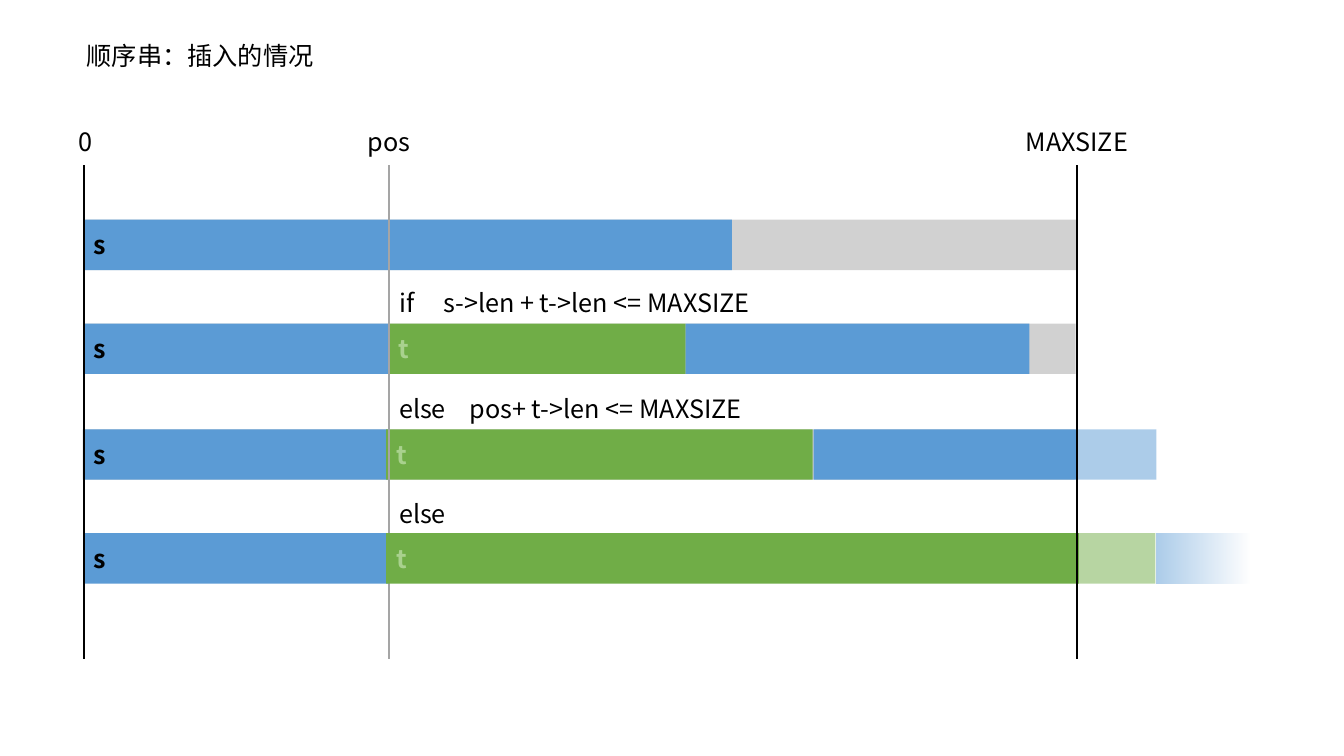
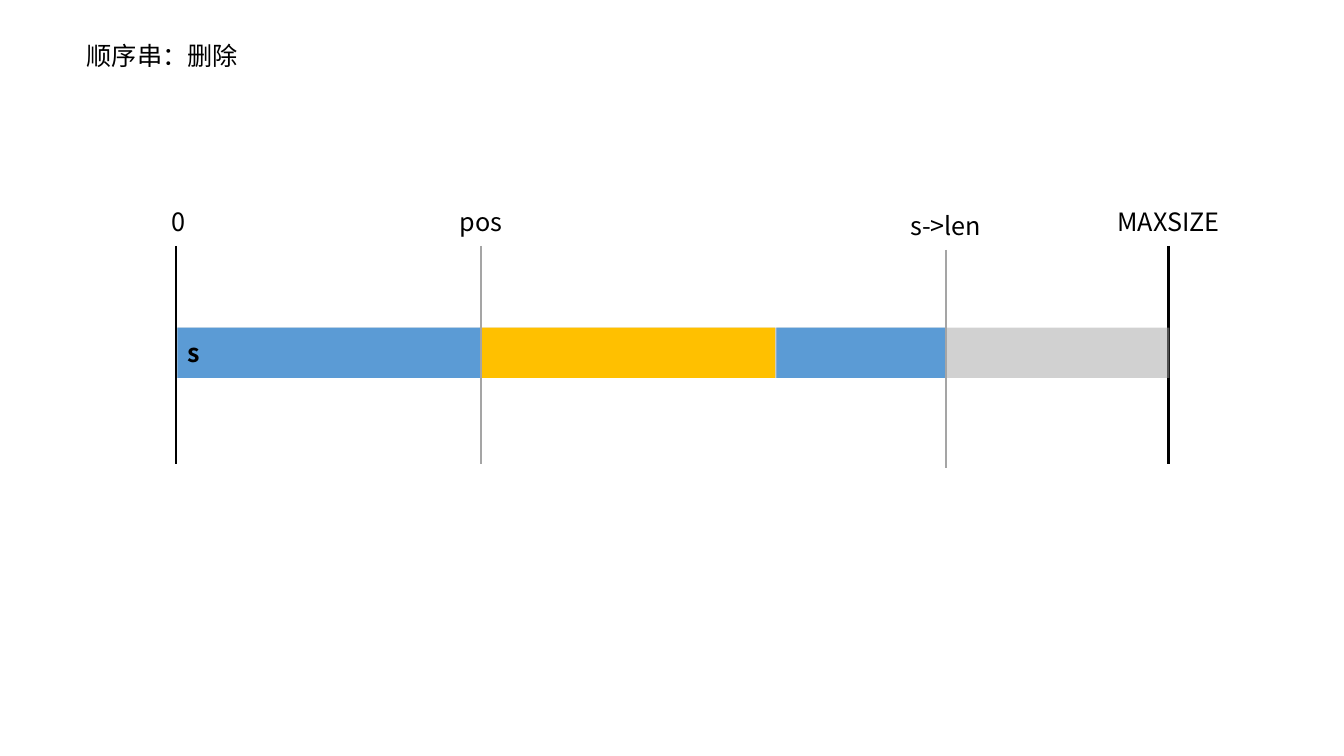
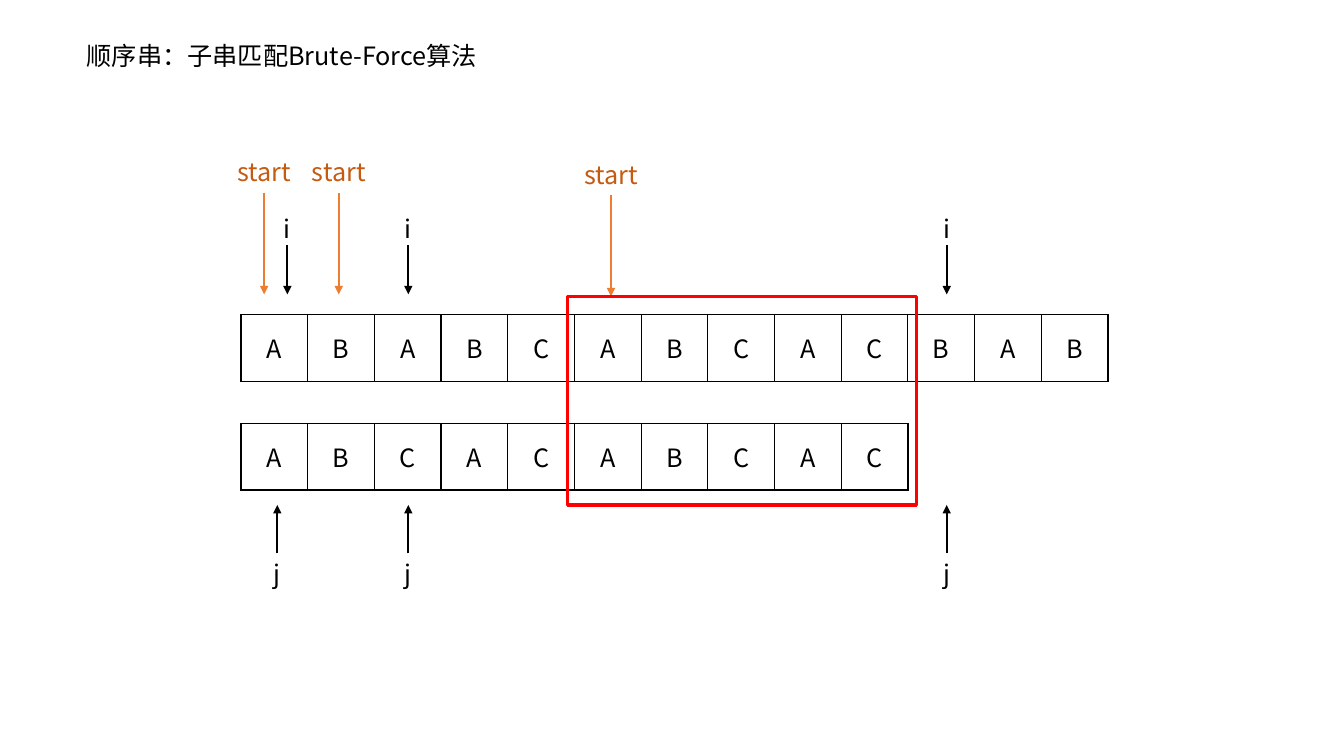
"""Build three slides on sequential strings: insertion, deletion and matching."""
from pptx import Presentation
from pptx.dml.color import RGBColor
from pptx.enum.shapes import MSO_CONNECTOR, MSO_SHAPE
from pptx.enum.text import MSO_ANCHOR, MSO_AUTO_SIZE, PP_ALIGN
from pptx.oxml.ns import qn
from pptx.util import Inches, Pt
from lxml import etree

LEFT, MID = PP_ALIGN.LEFT, PP_ALIGN.CENTER
TOP, CENTRE = MSO_ANCHOR.TOP, MSO_ANCHOR.MIDDLE
FIXED = MSO_AUTO_SIZE.NONE
RECT, STRAIGHT = MSO_SHAPE.RECTANGLE, MSO_CONNECTOR.STRAIGHT


class Theme:
    font = "Noto Sans CJK SC"
    size, thin, rule, frame = Pt(18), Pt(1), Pt(1.5), Pt(2.25)
    black = RGBColor(0, 0, 0)
    white = RGBColor(255, 255, 255)
    grey = RGBColor(0xA5, 0xA5, 0xA5)
    blue = RGBColor(0x5B, 0x9B, 0xD5)
    green = RGBColor(0x70, 0xAD, 0x47)
    pale = RGBColor(0xA9, 0xD1, 0x8E)
    gold = RGBColor(0xFF, 0xC0, 0)
    orange = RGBColor(0xED, 0x7D, 0x31)
    rust = RGBColor(0xC5, 0x5A, 0x11)
    red = RGBColor(255, 0, 0)


def write(frame, words, ink=Theme.black, align=LEFT, bold=False):
    para = frame.paragraphs[0]
    para.alignment = align
    run = para.add_run()
    run.text = words
    font = run.font
    font.name, font.size, font.bold = Theme.font, Theme.size, bold
    font.color.rgb = ink
    east = etree.SubElement(run._r.get_or_add_rPr(), qn("a:ea"))
    east.set("typeface", Theme.font)
    return para


def mark(slide, x, start, end, ink, label, arrow=False):
    line = slide.shapes.add_connector(
        STRAIGHT, Inches(x), Inches(start), Inches(x), Inches(end))
    line.line.color.rgb, line.line.width = ink, Theme.rule
    if arrow:
        etree.SubElement(line.line._get_or_add_ln(), qn("a:tailEnd")).set("type", "triangle")
    etree.SubElement(line._element.spPr, qn("a:effectLst"))
    words, left, top, width, colour, align = label
    box = slide.shapes.add_textbox(Inches(left), Inches(top), Inches(width), Inches(0.4))
    box.text_frame.word_wrap = True
    write(box.text_frame, words, colour, align)


deck = Presentation()
deck.slide_width, deck.slide_height = Inches(13.33), Inches(7.5)
pages = []
for words, width in [("顺序串：插入的情况", 3.95), ("顺序串：删除", 2.24),
                     ("顺序串：子串匹配Brute-Force算法", 4.66)]:
    page = deck.slides.add_slide(deck.slide_layouts[5])
    title = page.shapes.title
    title.left, title.top = Inches(0.76), Inches(0.35)
    title.width, title.height = Inches(width), Inches(0.4)
    frame = title.text_frame
    frame.auto_size, frame.vertical_anchor, frame.word_wrap = FIXED, TOP, True
    write(frame, words)
    pages.append(page)
insert, delete, match = pages

blue, green, grey, black = Theme.blue, Theme.green, Theme.grey, Theme.black
head = (0.83, 3.02, blue, 100, "s")
layers = [
    (insert, 1.64, 6.54, [], [
        (2.18, [(0.85, 9.83, grey, 50, ""), head, (3.85, 3.41, blue, 100, "")]),
        (3.21, [(0.83, 9.84, grey, 50, ""), (3.85, 2.95, green, 100, "t"), head,
                (6.8, 3.41, blue, 100, "")]),
        (4.26, [(0.82, 9.84, grey, 50, ""), head, (8.07, 2.61, blue, 100, ""),
                (3.83, 4.23, green, 100, "t"), (10.69, 0.78, blue, 50, "")])]),
    (insert, 1.64, 6.54, [(3.86, "pos", 0.91, grey)], [
        (5.29, [head, (3.83, 6.87, green, 100, "t"), (10.68, 0.78, green, 50, ""),
                (11.47, 0.93, None, 50, "")])]),
    (insert, 1.64, 6.54, [(0.83, "0", 0.91, black), (10.68, "MAXSIZE", 1.44, black)], []),
    (delete, 2.44, 4.6, [(1.75, "0", 0.91, black), (11.59, "MAXSIZE", 1.44, black)], [
        (3.25, [(1.76, 9.84, grey, 50, ""), (4.76, 2.93, Theme.gold, 100, ""),
                (1.76, 3.02, blue, 100, "s"), (7.7, 1.68, blue, 100, "")])]),
    (delete, 2.44, 4.6, [(4.77, "pos", 0.91, grey)], []),
    (delete, 2.48, 4.64, [(9.38, "s->len", 1.07, grey)], []),
]
for page, start, end, marks, rows in layers:
    for x, words, width, ink in marks:
        left, align = (x - 0.15, LEFT) if words == "0" else (x - width / 2, MID)
        mark(page, x, start, end, ink, (words, left, start - 0.44, width, black, align))
    for top, bars in rows:
        for left, width, fill, alpha, words in bars:
            bar = page.shapes.add_shape(
                RECT, Inches(left), Inches(top), Inches(width), Inches(0.5))
            bar.shadow.inherit = False
            if fill is None:
                bar.fill.gradient()
                bar.fill.gradient_angle = 180
                for stop, ink in zip(bar.fill.gradient_stops, (Theme.white, blue)):
                    stop.color.rgb = ink
            else:
                bar.fill.solid()
                bar.fill.fore_color.rgb = fill
            if alpha < 100:
                for ink in bar._element.spPr.iter(qn("a:srgbClr")):
                    etree.SubElement(ink, qn("a:alpha")).set("val", str(alpha * 1000))
            bar.line.fill.background()
            if words:
                bar.text_frame.vertical_anchor = CENTRE
                write(bar.text_frame, words, black if words == "s" else Theme.pale, bold=True)

for top, words, stop in [(2.8, "if\ts->len + t->len <= MAXSIZE", 0.44),
                         (3.85, "else\tpos+ t->len <= MAXSIZE", 0.7),
                         (4.89, "else", 0)]:
    case = insert.shapes.add_textbox(Inches(3.86), Inches(top), Inches(4.55), Inches(0.4))
    case.text_frame.word_wrap = True
    para = write(case.text_frame, words)
    if stop:
        tabs = etree.SubElement(para._p.get_or_add_pPr(), qn("a:tabLst"))
        tab = etree.SubElement(tabs, qn("a:tab"))
        tab.set("pos", str(Inches(stop)))
        tab.set("algn", "l")

side = 8.6 / 13
for col, top, word in [(0, 3.12, "ABABCABCACBAB"), (0, 4.2, "ABCAC"), (5, 4.2, "ABCAC")]:
    grid = match.shapes.add_table(
        1, len(word), Inches(2.39 + col * side), Inches(top),
        Inches(len(word) * side), Inches(side)).table
    grid.first_row = grid.horz_banding = False
    for cell, letter in zip(grid.rows[0].cells, word):
        cell.vertical_anchor = CENTRE
        write(cell.text_frame, letter, align=MID)
        props = cell._tc.get_or_add_tcPr()
        for edge in ("a:lnL", "a:lnR", "a:lnT", "a:lnB"):
            line = etree.SubElement(props, qn(edge))
            line.set("w", str(Theme.thin))
            ink = etree.SubElement(etree.SubElement(line, qn("a:solidFill")), qn("a:srgbClr"))
            ink.set("val", str(black))
        cell.fill.background()

for words, top, start, end, ink, line, spots in [
        ("start", 1.5, 1.91, 2.92, Theme.rust, Theme.orange, (2.62, 3.36)),
        ("start", 1.53, 1.93, 2.94, Theme.rust, Theme.orange, (6.06,)),
        ("i", 2.07, 2.43, 2.92, black, black, (2.85, 4.05, 9.39)),
        ("j", 5.49, 5.49, 5.01, black, black, (2.75, 4.05, 9.39))]:
    for x in spots:
        mark(match, x, start, end, line, (words, x - 0.63, top, 1.26, ink, MID), True)

found = match.shapes.add_shape(RECT, Inches(5.63), Inches(2.94), Inches(3.46), Inches(2.07))
found.shadow.inherit = False
found.fill.background()
found.line.color.rgb, found.line.width = Theme.red, Theme.frame

deck.save("out.pptx")
